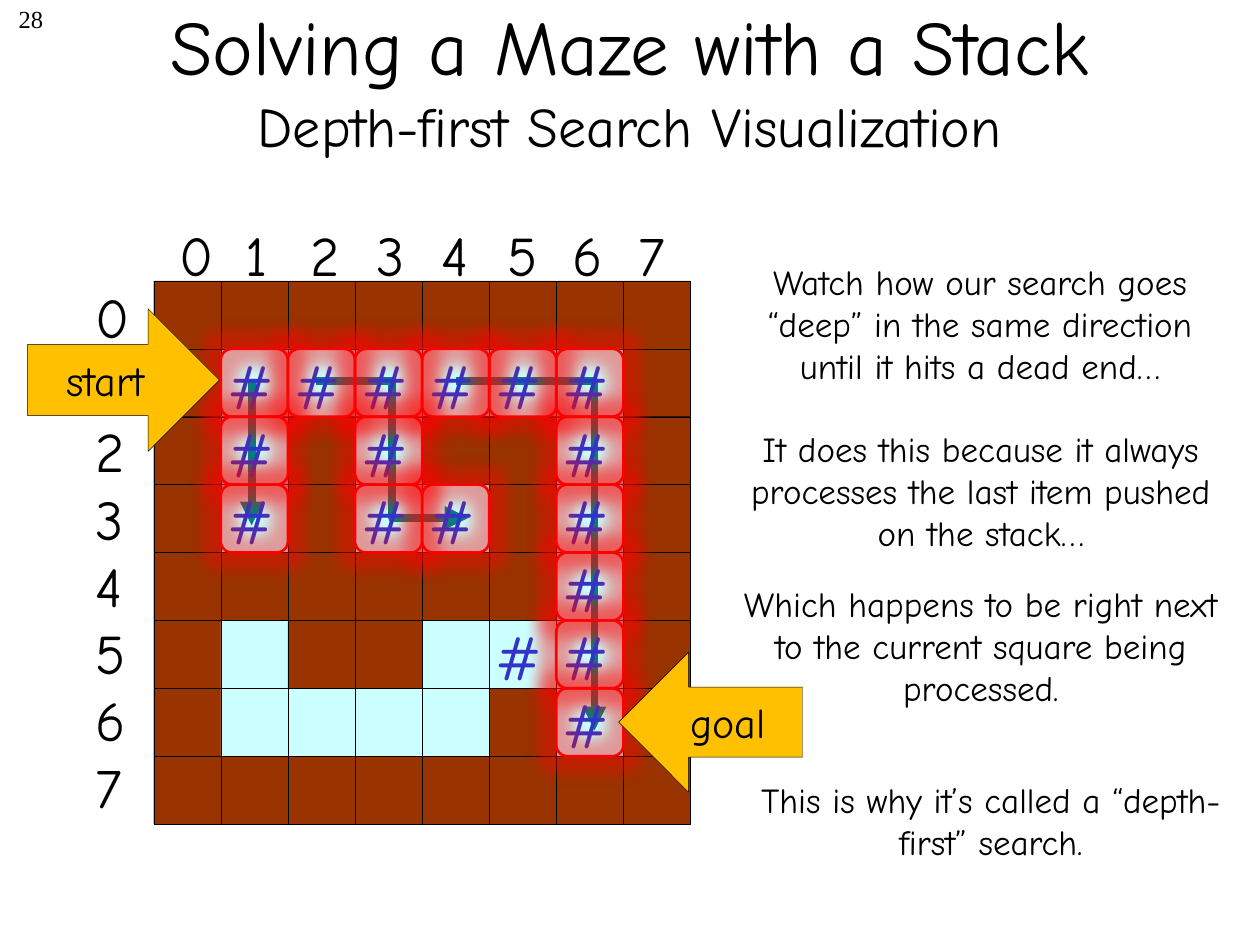
from collections import namedtuple

from lxml.etree import SubElement
from pptx import Presentation
from pptx.dml.color import RGBColor
from pptx.enum.shapes import MSO_CONNECTOR as Link, MSO_SHAPE as Preset
from pptx.enum.text import MSO_ANCHOR as Anchor, MSO_AUTO_SIZE as Fit, PP_ALIGN as Align
from pptx.oxml.ns import qn
from pptx.util import Inches, Pt

BLACK = RGBColor(0x00, 0x00, 0x00)
BRICK = RGBColor(0x99, 0x33, 0x00)
PALE = RGBColor(0xCC, 0xFF, 0xFF)
TEAL = RGBColor(0x00, 0x80, 0x80)
RED = RGBColor(0xFF, 0x00, 0x00)
BLUE = RGBColor(0x33, 0x33, 0xCC)
AMBER = RGBColor(0xFF, 0xC0, 0x00)

COMIC, TIMES = "Comic Neue", "Times New Roman"
WIDTH, HEIGHT = Inches(10), Inches(7.5)
SIZE = 8  # cells along each side of the maze

# W is a wall, a dot is an open square
MAZE = ["WWWWWWWW",
        "W......W",
        "W.W.WW.W",
        "W.W..W.W",
        "WWWWWW.W",
        "W.WW...W",
        "W....W.W",
        "WWWWWWWW"]

# Visited squares as (column, row)
VISITED = [(1, 1), (2, 1), (1, 2), (1, 3), (3, 1), (3, 2), (3, 3), (4, 3),
           (4, 1), (5, 1), (6, 1), (6, 2), (6, 3), (6, 4), (6, 5), (6, 6)]
PUSHED = (5, 5)

# Search trails: connector kind, start and end in columns and rows
TRAILS = [(Link.STRAIGHT, (1.46, 1.47), (1.46, 3.6)),
          (Link.ELBOW, (2.42, 1.48), (4.69, 3.49)),
          (Link.ELBOW, (4.51, 1.48), (6.57, 6.62))]

# Remarks with their boxes in percent of the slide
REMARKS = [
    ("Watch how our search goes “deep” in the same direction until it hits a dead end…",
     (58.1, 26.93, 39.4, 14.8)),
    ("It does this because it always processes the last item pushed on the stack…",
     (57.3, 44.53, 41.1, 14.8)),
    ("Which happens to be right next to the current square being processed.",
     (57.3, 60.93, 41.1, 14.8)),
    ("This is why it’s called a “depth-first” search.",
     (58.1, 81.73, 41.1, 10.27)),
]

Box = namedtuple("Box", "left top width height")


def share(left, top, width, height):
    """Box from percentages of the slide."""
    return Box(int(WIDTH * left / 100), int(HEIGHT * top / 100),
               int(WIDTH * width / 100), int(HEIGHT * height / 100))


def cells(maze, column, row, columns=1, rows=1):
    """Box from columns and rows of the maze."""
    across, down = maze.width / SIZE, maze.height / SIZE
    return Box(int(maze.left + column * across), int(maze.top + row * down),
               int(columns * across), int(rows * down))


def assign(target, **values):
    for name, value in values.items():
        setattr(target, name, value)


def style_run(run, size, color=BLACK, face=COMIC):
    assign(run.font, size=Pt(size), name=face)
    run.font.color.rgb = color


def write(frame, lines, size, color=BLACK, face=COMIC, align=Align.LEFT, **settings):
    assign(frame, **settings)
    for number, line in enumerate(lines):
        paragraph = frame.add_paragraph() if number else frame.paragraphs[0]
        paragraph.alignment = align
        run = paragraph.add_run()
        run.text = line
        style_run(run, size, color, face)


def label(slide, box, lines, size, wrap=False, **options):
    text = slide.shapes.add_textbox(*box)
    write(text.text_frame, lines, size, word_wrap=wrap, **options)
    return text.text_frame


def block(shapes, preset, box, fill, line=BLACK, weight=0.25):
    shape = shapes.add_shape(preset, *box)
    shape.shadow.inherit = False
    if fill is None:
        shape.fill.background()
    else:
        shape.fill.solid()
        shape.fill.fore_color.rgb = fill
    shape.line.color.rgb = line
    shape.line.width = Pt(weight)
    return shape


def heading(slide, box):
    title = slide.shapes.title
    assign(title, **box._asdict())
    assign(title.text_frame, vertical_anchor=Anchor.MIDDLE, auto_size=Fit.NONE)
    paragraph = title.text_frame.paragraphs[0]
    paragraph.alignment = Align.CENTER
    main = paragraph.add_run()
    main.text = "Solving a Maze with a Stack"
    style_run(main, 44)
    paragraph.add_line_break()
    subtitle = paragraph.add_run()
    subtitle.text = "Depth-first Search Visualization"
    style_run(subtitle, 32)


def axis_labels(slide, maze):
    digits = [str(n) for n in range(SIZE)]
    label(slide, cells(maze, -1.05, -0.07, 0.9, 8.18), digits, 32)
    frame = label(slide, cells(maze, 0.2, -0.98, 7.9, 1.18), ["\t".join(digits)], 32)
    # Evenly spaced tab stops, one for each column
    stops = SubElement(frame.paragraphs[0]._p.get_or_add_pPr(), qn("a:tabLst"))
    for n in range(1, SIZE):
        SubElement(stops, qn("a:tab"), pos=str(int(Inches(0.52)) * n), algn="l")


def tiles(slide, maze):
    group = slide.shapes.add_group_shape()
    for row, squares in enumerate(MAZE):
        for column, square in enumerate(squares):
            block(group.shapes, Preset.RECTANGLE, cells(maze, column, row),
                  BRICK if square == "W" else PALE)


def trails(slide, maze):
    for number, (kind, start, end) in enumerate(TRAILS):
        first, last = cells(maze, *start), cells(maze, *end)
        trail = slide.shapes.add_connector(kind, first.left, first.top, last.left, last.top)
        trail.line.color.rgb = TEAL
        trail.line.width = Pt(4.5)
        properties = trail._element.spPr
        SubElement(trail.line._get_or_add_ln(), qn("a:tailEnd"), type="triangle")
        SubElement(properties, qn("a:effectLst"))
        if number == len(TRAILS) - 1:  # a single corner: right, then down
            properties.find(qn("a:prstGeom")).set("prst", "bentConnector2")


def mark(slide, maze, column, row):
    label(slide, cells(maze, column - 0.09, row - 0.13, 1.18, 1.32), ["#"], 36, color=BLUE)


def visited_squares(slide, maze):
    for column, row in VISITED:
        mark(slide, maze, column, row)
        ring = block(slide.shapes, Preset.ROUNDED_RECTANGLE, cells(maze, column, row),
                     None, RED, 1.5)
        # Soft red glow
        effects = ring._element.spPr.find(qn("a:effectLst"))
        glow = SubElement(effects, qn("a:glow"), rad=str(int(Pt(18))))
        tint = SubElement(glow, qn("a:srgbClr"), val=str(RED))
        SubElement(tint, qn("a:alpha"), val="40000")


def signpost(slide, box, preset, word):
    arrow = block(slide.shapes, preset, box, AMBER)
    write(arrow.text_frame, [word], 24, align=Align.CENTER, word_wrap=False,
          vertical_anchor=Anchor.MIDDLE)


def maze_region(slide, maze):
    tiles(slide, maze)
    trails(slide, maze)
    visited_squares(slide, maze)
    axis_labels(slide, maze)
    signpost(slide, cells(maze, -1.88, 0.41, 2.86, 2.1), Preset.RIGHT_ARROW, "start")
    signpost(slide, cells(maze, 6.93, 5.47, 2.74, 2.06), Preset.LEFT_ARROW, "goal")
    mark(slide, maze, *PUSHED)


def main():
    deck = Presentation()
    assign(deck, slide_width=WIDTH, slide_height=HEIGHT)
    slide = deck.slides.add_slide(deck.slide_layouts[5])
    label(slide, share(-16.4, -0.27, 20.8, 6.67), ["28"], 14, wrap=True,
          face=TIMES, align=Align.RIGHT)
    heading(slide, share(7.5, 0, 85, 16.67))
    maze_region(slide, share(12.2, 29.73, 42.6, 57.47))
    for remark, area in REMARKS:
        label(slide, share(*area), [remark], 20, wrap=True, align=Align.CENTER)
    deck.save("out.pptx")


if __name__ == "__main__":
    main()
